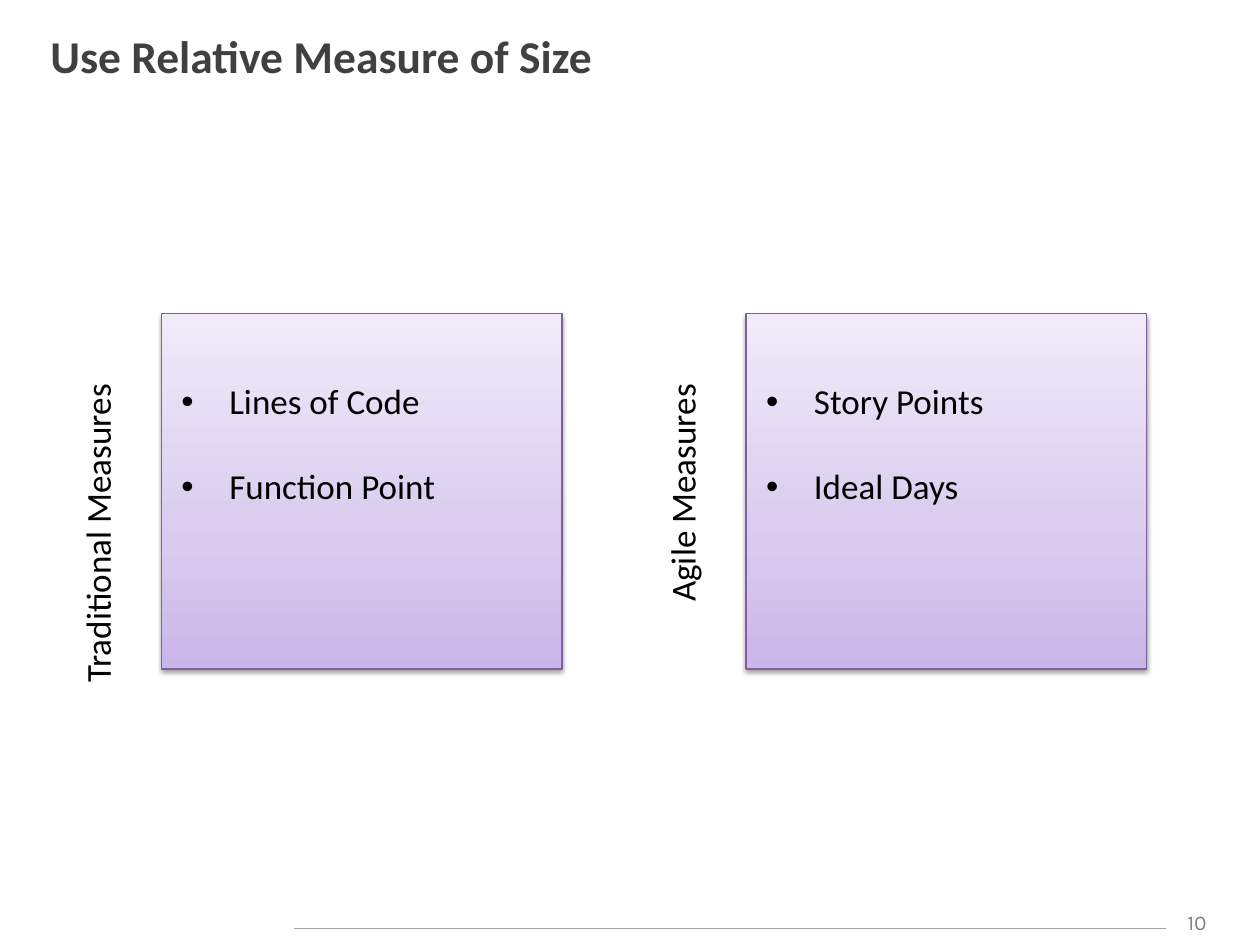
from lxml.etree import SubElement
from pptx import Presentation
from pptx.dml.color import RGBColor
from pptx.enum.shapes import MSO_CONNECTOR, MSO_SHAPE
from pptx.enum.text import MSO_ANCHOR, PP_ALIGN
from pptx.oxml.ns import qn
from pptx.util import Inches, Pt

COLORS = {
    "title": "404040", "text": "000000", "number": "808080", "rule": "A6A6A6",
    "outline": "7D60A0", "shadow": "000000",
    "deep": "C9B5E8", "middle": "D8CBEE", "pale": "F0EAF9",
}
MEASURES = [
    ("Traditional Measures", ["Lines of Code", "Function Point"]),
    ("Agile Measures", ["Story Points", "Ideal Days"]),
]
PANEL_LEFT, PANEL_TOP, PANEL_PITCH = 1.28, 2.49, 4.64
PANEL_WIDTH, PANEL_HEIGHT = 3.18, 2.82
LABEL_LENGTH, LABEL_DEPTH, TEXT_INSET = 3.82, 0.64, 0.56


def add_xml(parent, tag, **attributes):
    """Append a drawing element with the given attributes."""
    return SubElement(parent, qn(tag), {key: str(value) for key, value in attributes.items()})


def add_run(paragraph, wording, size, color, font="Calibri", bold=False):
    """Add one formatted run to a paragraph."""
    run = paragraph.add_run()
    run.text = wording
    run.font.name, run.font.size, run.font.bold = font, Pt(size), bold
    run.font.color.rgb = RGBColor.from_string(COLORS[color])


def set_insets(frame, left, top, right, bottom):
    """Set the four text margins in inches."""
    frame.margin_left, frame.margin_top = Inches(left), Inches(top)
    frame.margin_right, frame.margin_bottom = Inches(right), Inches(bottom)


def add_title(slide, left, top, width, height):
    """Place and format the slide title."""
    title = slide.shapes.title
    title.left, title.top = Inches(left), Inches(top)
    title.width, title.height = Inches(width), Inches(height)
    frame = title.text_frame
    frame.word_wrap = True
    frame.vertical_anchor = MSO_ANCHOR.MIDDLE
    heading = frame.paragraphs[0]
    heading.alignment = PP_ALIGN.LEFT
    add_run(heading, "Use Relative Measure of Size", 26, "title", bold=True)


def add_footer(slide, left, top, width, height):
    """Draw the footer rule and the page number at its right end."""
    number_width, rule_y = 0.5, top + 0.2
    number_left = left + width - number_width
    rule = slide.shapes.add_connector(
        MSO_CONNECTOR.STRAIGHT, Inches(left), Inches(rule_y), Inches(number_left), Inches(rule_y))
    rule.line.color.rgb = RGBColor.from_string(COLORS["rule"])
    rule.line.width = Pt(0.75)
    add_xml(rule._element.spPr, "a:effectLst")
    number = slide.shapes.add_textbox(
        Inches(number_left), Inches(top), Inches(number_width), Inches(height))
    number.text_frame.word_wrap = True
    page = number.text_frame.paragraphs[0]
    page.alignment = PP_ALIGN.CENTER
    add_run(page, "10", 12, "number", "Karla")


def shade_panel(panel):
    """Give a panel its outline, three-stop gradient and soft shadow."""
    panel.line.color.rgb = RGBColor.from_string(COLORS["outline"])
    panel.line.width = Pt(0.75)
    properties = panel._element.spPr
    gradient = add_xml(properties, "a:gradFill", rotWithShape=1)
    stops = add_xml(gradient, "a:gsLst")
    for percent, color in [(0, "deep"), (35, "middle"), (100, "pale")]:
        stop = add_xml(stops, "a:gs", pos=percent * 1000)
        add_xml(stop, "a:srgbClr", val=COLORS[color])
    add_xml(gradient, "a:lin", ang=270 * 60000, scaled=1)
    properties.find(qn("a:ln")).addprevious(gradient)
    panel.shadow.inherit = False
    shadow = add_xml(properties.find(qn("a:effectLst")), "a:outerShdw", blurRad=Pt(3.1),
                     dist=Pt(1.6), dir=90 * 60000, rotWithShape=0)
    shade = add_xml(shadow, "a:srgbClr", val=COLORS["shadow"])
    add_xml(shade, "a:alpha", val=38000)


def add_label(slide, wording, right, top):
    """Stand a label upright against the left side of a panel."""
    center_x, center_y = right - LABEL_DEPTH / 2, top + LABEL_LENGTH / 2
    label = slide.shapes.add_textbox(
        Inches(center_x - LABEL_LENGTH / 2), Inches(center_y - LABEL_DEPTH / 2),
        Inches(LABEL_LENGTH), Inches(LABEL_DEPTH))
    label.rotation = 270
    frame = label.text_frame
    frame.word_wrap = True
    set_insets(frame, 0, 0, TEXT_INSET, 0)
    line = frame.paragraphs[0]
    line.alignment, line.line_spacing = PP_ALIGN.RIGHT, 0.9
    add_run(line, wording, 20, "text")


def add_panel(slide, measures, left, top, width, height):
    """Draw a shaded panel with its bulleted measures."""
    panel = slide.shapes.add_shape(
        MSO_SHAPE.RECTANGLE, Inches(left), Inches(top), Inches(width), Inches(height))
    shade_panel(panel)
    frame = panel.text_frame
    frame.word_wrap = True
    frame.vertical_anchor = MSO_ANCHOR.TOP
    set_insets(frame, 0.16, TEXT_INSET, 0.16, 0.16)
    for index, measure in enumerate(measures):
        item = frame.add_paragraph() if index else frame.paragraphs[0]
        item.alignment, item.line_spacing = PP_ALIGN.LEFT, 0.9
        item.space_before = Pt(27 if index else 0)
        settings = item._p.get_or_add_pPr()
        settings.set("marL", str(Inches(0.38)))
        settings.set("indent", str(Inches(-0.38)))
        add_xml(settings, "a:buFont", typeface="Arial")
        add_xml(settings, "a:buChar", char="•")
        add_run(item, measure, 20, "text")


def main():
    """Build and save the slide."""
    deck = Presentation()
    deck.slide_width, deck.slide_height = Inches(10), Inches(7.5)
    slide = deck.slides.add_slide(deck.slide_layouts[5])
    add_footer(slide, 2.33, 7.17, 7.42, 0.3)
    add_title(slide, 0.3, 0.12, 9.36, 0.63)
    for column, (heading, measures) in enumerate(MEASURES):
        left = PANEL_LEFT + column * PANEL_PITCH
        add_label(slide, heading, left, PANEL_TOP)
        add_panel(slide, measures, left, PANEL_TOP, PANEL_WIDTH, PANEL_HEIGHT)
    deck.save("out.pptx")


if __name__ == "__main__":
    main()
